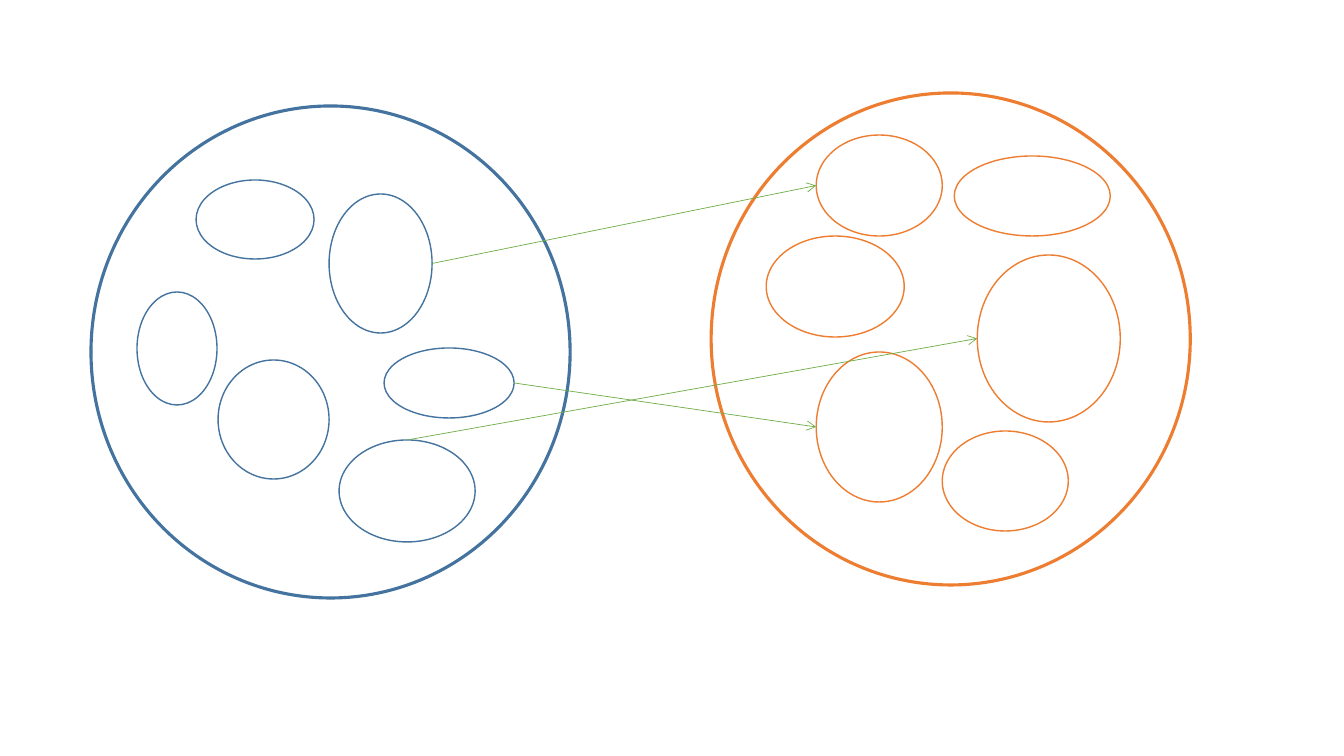
from lxml.etree import SubElement
from pptx import Presentation
from pptx.dml.color import RGBColor
from pptx.enum.shapes import MSO_CONNECTOR, MSO_SHAPE
from pptx.oxml.ns import qn
from pptx.util import Inches, Pt

BLUE = RGBColor(0x43, 0x73, 0x9E)
ORANGE = RGBColor(0xED, 0x7D, 0x31)
GREEN = RGBColor(0x70, 0xAD, 0x47)

# Content: each set has an outer circle and its elements (left, top, width, height)
SETS = [
    {"color": BLUE, "circle": (91, 106, 479, 492), "elements": {
        "domain upper left": (196, 180, 118, 79),
        "domain upper right": (329, 194, 103, 139),
        "domain lower left": (218, 360, 111, 119),
        "domain middle right": (384, 348, 130, 70),
        "domain bottom": (339, 440, 136, 102),
        "domain far left": (137, 292, 80, 113)}},
    {"color": ORANGE, "circle": (711, 93, 479, 492), "elements": {
        "range middle right": (977, 255, 143, 167),
        "range upper right": (954, 156, 156, 80),
        "range middle left": (766, 236, 138, 101),
        "range lower left": (816, 352, 126, 150),
        "range bottom": (942, 431, 126, 100),
        "range upper left": (816, 135, 126, 101)}},
]

# Mappings: source, side it leaves from, target (always entered from the left)
MAPPINGS = [
    ("domain upper right", "right", "range upper left"),
    ("domain middle right", "right", "range lower left"),
    ("domain bottom", "top", "range middle right"),
]

SIDES = {"left": (0, 0.5), "right": (1, 0.5), "top": (0.5, 0)}


def px(length):
    return Inches(length / 100.8)


def set_line(shape, color, width):
    shape.line.color.rgb = color
    shape.line.width = Pt(width)


def add_ellipse(box, color, width):
    ellipse = page.shapes.add_shape(MSO_SHAPE.OVAL, *map(px, box))
    ellipse.shadow.inherit = False
    ellipse.fill.background()
    set_line(ellipse, color, width)


def side_point(box, side):
    left, top, width, height = box
    across, down = SIDES[side]
    return px(left + across * width), px(top + down * height)


def add_arrow(start, end):
    arrow = page.shapes.add_connector(MSO_CONNECTOR.STRAIGHT, *start, *end)
    set_line(arrow, GREEN, 0.5)
    SubElement(arrow.line._get_or_add_ln(), qn("a:tailEnd"), type="arrow")
    SubElement(arrow._element.spPr, qn("a:effectLst"))


deck = Presentation()
deck.slide_width, deck.slide_height = Inches(13.33), Inches(7.5)
page = deck.slides.add_slide(deck.slide_layouts[6])

# Outer circles
for group in SETS:
    add_ellipse(group["circle"], group["color"], 2.25)

# Elements inside each circle
boxes = {}
for group in SETS:
    boxes.update(group["elements"])
    for box in group["elements"].values():
        add_ellipse(box, group["color"], 1)

# Arrows from domain to range
for source, side, target in MAPPINGS:
    add_arrow(side_point(boxes[source], side), side_point(boxes[target], "left"))

deck.save("out.pptx")
